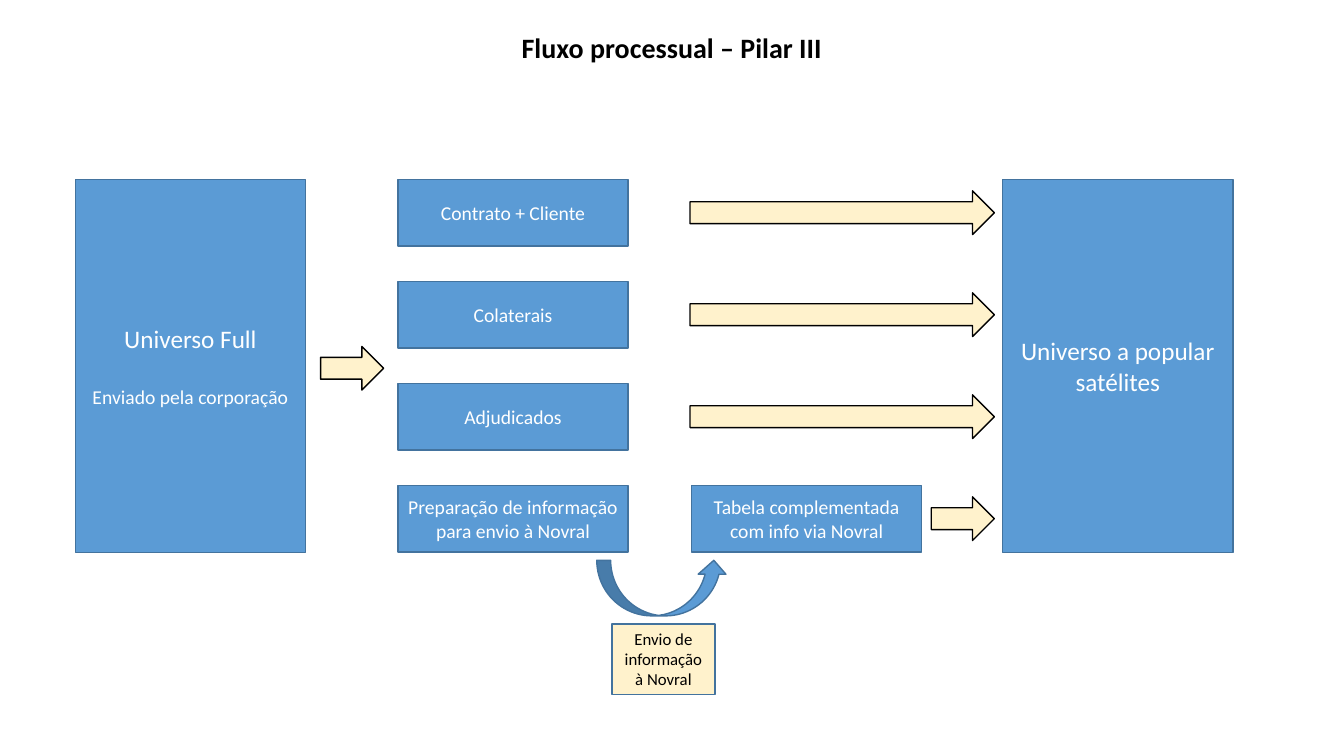
from pptx import Presentation
from pptx.dml.color import RGBColor
from pptx.enum.shapes import MSO_SHAPE
from pptx.enum.text import MSO_ANCHOR, PP_ALIGN
from pptx.util import Cm, Pt

BLUE = RGBColor(0x5B, 0x9B, 0xD5)
DARK_BLUE = RGBColor(0x43, 0x73, 0x9E)
CREAM = RGBColor(0xFF, 0xF2, 0xCC)
BLACK = RGBColor(0, 0, 0)
WHITE = RGBColor(0xFF, 0xFF, 0xFF)

# Grid in centimetres
TOP = 4.52
ROW_HEIGHT, ROW_STEP = 1.68, 2.57
BOX_WIDTH, TALL_HEIGHT = 5.8, 9.4
SOURCE_LEFT, STEP_LEFT, TABLE_LEFT, TARGET_LEFT = 1.9, 10.03, 17.43, 25.27
ARROW_HEIGHT, SHORT_ARROW, LONG_ARROW = 1.1, 1.59, 7.67
ARROW_END = 25.06


def add_text(frame, text, size=14, color=WHITE, bold=False, gap=0, line_spacing=None, first=True):
    para = frame.paragraphs[0] if first else frame.add_paragraph()
    para.alignment = PP_ALIGN.CENTER
    if gap:
        para.space_before = Pt(gap)
    if line_spacing:
        para.line_spacing = line_spacing
    span = para.add_run()
    span.text = text
    span.font.name = "Calibri"
    span.font.size = Pt(size)
    span.font.bold = bold
    span.font.color.rgb = color


class FlowPage:
    def __init__(self, page):
        self.page = page

    def title(self, text):
        box = self.page.shapes.add_textbox(Cm(4.23), Cm(0.74), Cm(25.4), Cm(0.72))
        box.text_frame.word_wrap = True
        add_text(box.text_frame, text, size=20, color=BLACK, bold=True, line_spacing=0.9)

    def shape(self, kind, left, top, width, height, fill=BLUE, line=DARK_BLUE):
        shape = self.page.shapes.add_shape(kind, Cm(left), Cm(top), Cm(width), Cm(height))
        shape.shadow.inherit = False
        shape.fill.solid()
        shape.fill.fore_color.rgb = fill
        shape.line.color.rgb = line
        shape.line.width = Pt(1)
        return shape

    def box(self, text, left, top, width=BOX_WIDTH, height=ROW_HEIGHT, fill=BLUE, **style):
        box = self.shape(MSO_SHAPE.RECTANGLE, left, top, width, height, fill)
        box.text_frame.word_wrap = True
        box.text_frame.vertical_anchor = MSO_ANCHOR.MIDDLE
        add_text(box.text_frame, text, **style)
        return box

    def arrow(self, end, middle, length):
        self.shape(MSO_SHAPE.RIGHT_ARROW, end - length, middle - ARROW_HEIGHT / 2,
                   length, ARROW_HEIGHT, CREAM, BLACK)


def main():
    deck = Presentation()
    deck.slide_width, deck.slide_height = Cm(33.87), Cm(19.05)
    flow = FlowPage(deck.slides.add_slide(deck.slide_layouts[6]))
    flow.title("Fluxo processual – Pilar III")

    # Source and target
    source = flow.box("Universo Full", SOURCE_LEFT, TOP, height=TALL_HEIGHT, size=18)
    add_text(source.text_frame, "Enviado pela corporação", gap=22, first=False)
    flow.arrow(9.67, TOP + TALL_HEIGHT / 2 + 0.06, SHORT_ARROW)
    flow.box("Universo a popular satélites", TARGET_LEFT, TOP, height=TALL_HEIGHT, size=18)

    # Process steps, each with an arrow to the target
    steps = [
        ("Contrato + Cliente", LONG_ARROW),
        ("Colaterais", LONG_ARROW),
        ("Adjudicados", LONG_ARROW),
        ("Preparação de informação para envio à Novral", SHORT_ARROW),
    ]
    for row, (text, length) in enumerate(steps):
        top = TOP + row * ROW_STEP
        flow.box(text, STEP_LEFT, top)
        flow.arrow(ARROW_END, top + ROW_HEIGHT / 2, length)

    # Detour through the external provider
    flow.box("Tabela complementada com info via Novral", TABLE_LEFT, TOP + 3 * ROW_STEP)
    flow.shape(MSO_SHAPE.CURVED_UP_ARROW, 15.04, 14.12, 3.3, 1.4)
    flow.box("Envio de informação à Novral", 15.42, 15.72, 2.6, 1.78, CREAM, size=12, color=BLACK)

    deck.save("out.pptx")


if __name__ == "__main__":
    main()
